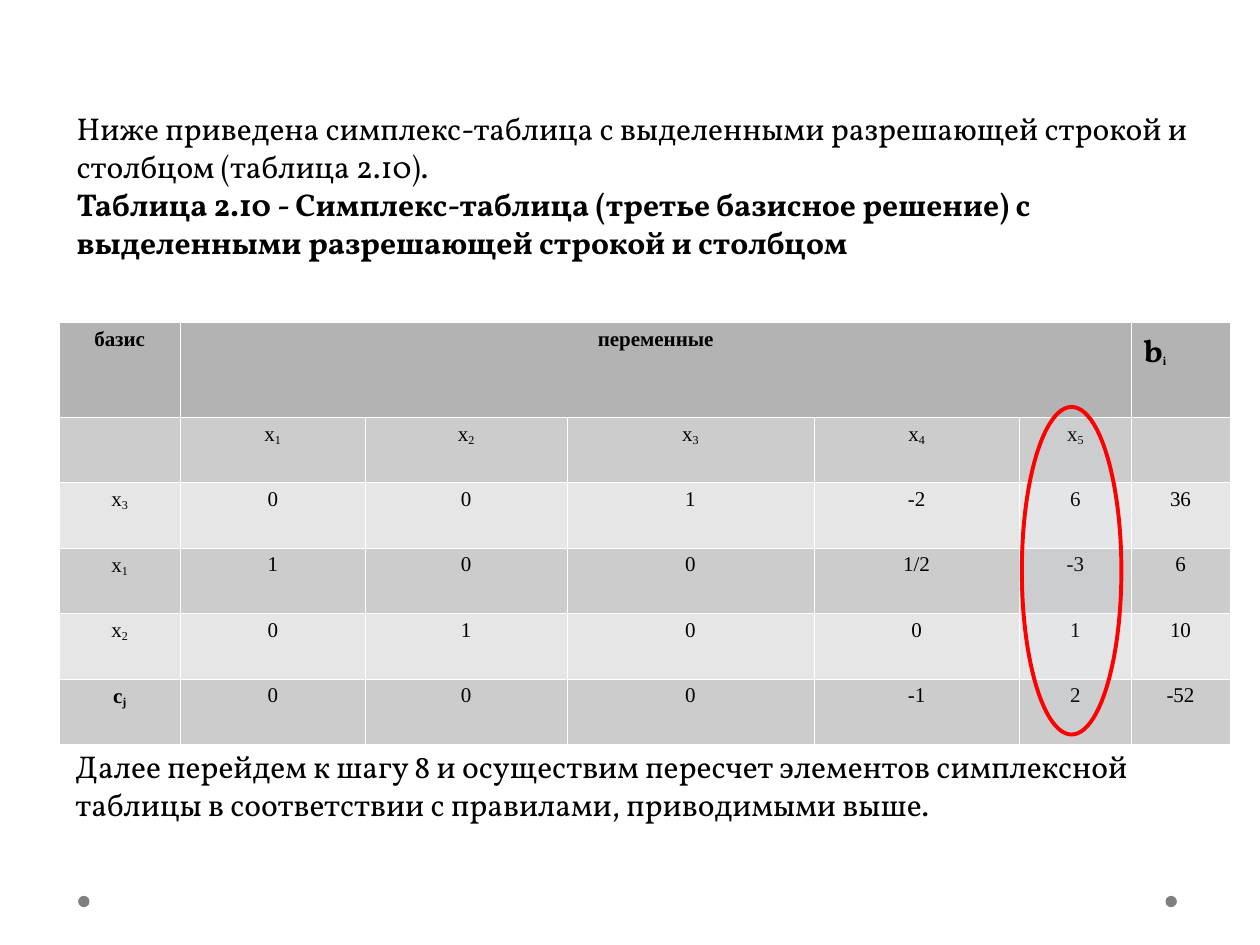
from lxml import etree
from pptx import Presentation
from pptx import util as u
from pptx.dml.color import RGBColor
from pptx.enum import shapes, text
from pptx.oxml.ns import qn

BLACK = RGBColor(0x00, 0x00, 0x00)
WHITE = RGBColor(0xFF, 0xFF, 0xFF)
DOT_GRAY = RGBColor(0x7F, 0x7F, 0x7F)
HEADER_GRAY = RGBColor(0xB3, 0xB3, 0xB3)
DARK_BAND = RGBColor(0xCC, 0xCC, 0xCC)
LIGHT_BAND = RGBColor(0xE6, 0xE6, 0xE6)
PALE_BLUE = RGBColor(0xCF, 0xDC, 0xF0)
RED = RGBColor(0xFF, 0x00, 0x00)


def add_ellipse(left, top, width, height, color):
    ellipse = slide.shapes.add_shape(
        shapes.MSO_SHAPE.OVAL, u.Inches(left), u.Inches(top), u.Inches(width), u.Inches(height))
    ellipse.shadow.inherit = False
    ellipse.fill.solid()
    ellipse.fill.fore_color.rgb = color
    ellipse.line.fill.background()
    return ellipse


def style_font(font, name, size, bold):
    font.name = name
    font.size = u.Pt(size)
    font.bold = bold
    font.color.rgb = BLACK


presentation = Presentation()
presentation.slide_width = u.Inches(10)
presentation.slide_height = u.Inches(7.5)
slide = presentation.slides.add_slide(presentation.slide_layouts[6])

for left in (9.25, 0.62):
    add_ellipse(left, 7.11, 0.09, 0.09, DOT_GRAY)

rows = [
    ["базис", "переменные", "", "", "", "", "b_i"],
    ["", "x_1", "x_2", "x_3", "x_4", "x_5", ""],
    ["x_3", "0", "0", "1", "-2", "6", "36"],
    ["x_1", "1", "0", "0", "1/2", "-3", "6"],
    ["x_2", "0", "1", "0", "0", "1", "10"],
    ["c_j", "0", "0", "0", "-1", "2", "-52"],
]
column_widths = [0.96, 1.47, 1.6, 1.96, 1.63, 0.89, 0.78]
row_heights = [0.75] + [0.52] * 5
row_fills = [HEADER_GRAY, DARK_BAND, LIGHT_BAND, DARK_BAND, LIGHT_BAND, DARK_BAND]

table = slide.shapes.add_table(
    len(rows), len(column_widths), u.Inches(0.47), u.Inches(2.56),
    u.Inches(sum(column_widths)), u.Inches(sum(row_heights))).table
for column, width in zip(table.columns, column_widths):
    column.width = u.Inches(width)
for row, height in zip(table.rows, row_heights):
    row.height = u.Inches(height)
table.cell(0, 1).merge(table.cell(0, 5))

for row_index, values in enumerate(rows):
    for column_index, value in enumerate(values):
        cell = table.cell(row_index, column_index)
        properties = cell._tc.get_or_add_tcPr()
        for side in ("a:lnL", "a:lnR", "a:lnT", "a:lnB"):
            border = etree.SubElement(properties, qn(side), w=str(u.Pt(0.06)))
            border_fill = etree.SubElement(border, qn("a:solidFill"))
            etree.SubElement(border_fill, qn("a:srgbClr"), val=str(WHITE))
        cell.fill.solid()
        cell.fill.fore_color.rgb = row_fills[row_index]
        if not value:
            continue
        paragraph = cell.text_frame.paragraphs[0]
        paragraph.alignment = text.PP_ALIGN.CENTER
        paragraph.line_spacing = 0.93
        bold = row_index == 0 or value == "c_j"
        for part_index, part in enumerate(value.split("_")):
            run = paragraph.add_run()
            run.text = part
            style_font(run.font, "Times New Roman", 12, bold)
            if part_index == 1:
                run._r.get_or_add_rPr().set("baseline", "-14000")

free_term = table.cell(0, 6).text_frame.paragraphs[0]
free_term.alignment = text.PP_ALIGN.LEFT
free_term.line_spacing = 1.08
style_font(free_term.runs[0].font, "Vollkorn", 18, True)

highlight = add_ellipse(8.11, 3.23, 0.79, 2.6, PALE_BLUE)
highlight.line.color.rgb = RED
highlight.line.width = u.Pt(2.25)
highlight_color = highlight.fill._xPr.find(qn("a:solidFill"))[0]
etree.SubElement(highlight_color, qn("a:alpha"), val="7000")

text_blocks = [
    (0.51, 0.82, 9.13, 1.3, [
        ("Ниже приведена симплекс-таблица с выделенными разрешающей строкой и "
         "столбцом (таблица 2.10).", False),
        ("Таблица 2.10 - Симплекс-таблица (третье базисное решение) с "
         "выделенными разрешающей строкой и столбцом", True),
    ]),
    (0.5, 5.88, 9.15, 0.7, [
        ("Далее перейдем к шагу 8 и осуществим пересчет элементов симплексной "
         "таблицы в соответствии с правилами, приводимыми выше.", False),
    ]),
]
for left, top, width, height, paragraphs in text_blocks:
    frame = slide.shapes.add_textbox(
        u.Inches(left), u.Inches(top), u.Inches(width), u.Inches(height)).text_frame
    frame.word_wrap = True
    frame.auto_size = text.MSO_AUTO_SIZE.SHAPE_TO_FIT_TEXT
    frame.text = "\n".join(wording for wording, bold in paragraphs)
    for paragraph, (wording, bold) in zip(frame.paragraphs, paragraphs):
        style_font(paragraph.font, "Vollkorn", 18, bold)

presentation.save("out.pptx")
